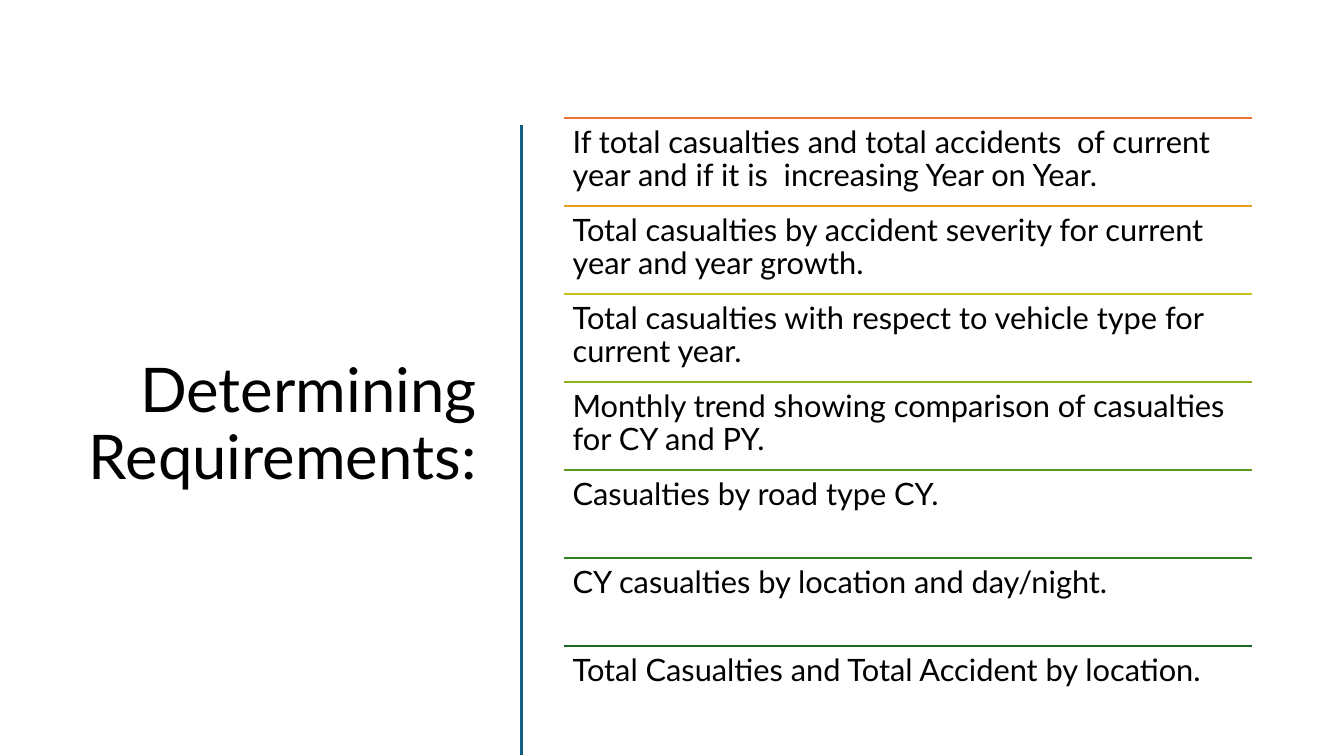
from lxml import etree
from pptx import Presentation, util as u
from pptx.dml.color import RGBColor
from pptx.enum import shapes, text
from pptx.oxml.ns import qn

THEME = {
    "font": "Lato", "ink": "000000", "divider": "156082",
    "title_size": 44, "item_size": 22, "divider_width": 2, "rule_width": 1.5,
}

REQUIREMENTS = [
    ("E97132", "If total casualties and total accidents  of current year and if it is  increasing Year on Year."),
    ("E39D1F", "Total casualties by accident severity for current year and year growth."),
    ("CBC11E", "Total casualties with respect to vehicle type for current year."),
    ("8EB21E", "Monthly trend showing comparison of casualties for CY and PY."),
    ("56991D", "Casualties by road type CY."),
    ("2C821B", "CY casualties by location and day/night."),
    ("196B24", "Total Casualties and Total Accident by location."),
]

prs = Presentation()
prs.slide_width, prs.slide_height = u.Inches(13.33), u.Inches(7.5)
slide = prs.slides.add_slide(prs.slide_layouts[6])


def add_text(words, left, top, width, height, *, size, inset=0.1,
             align=text.PP_ALIGN.LEFT, anchor=text.MSO_ANCHOR.TOP):
    box = slide.shapes.add_textbox(*map(u.Inches, (left, top, width, height)))
    frame = box.text_frame
    frame.word_wrap = True
    frame.vertical_anchor = anchor
    frame.margin_left = frame.margin_right = u.Inches(inset)
    frame.margin_top = frame.margin_bottom = u.Inches(inset)
    paragraph = frame.paragraphs[0]
    paragraph.alignment = align
    paragraph.line_spacing = 0.9
    run = paragraph.add_run()
    run.text = words
    run.font.name = THEME["font"]
    run.font.size = u.Pt(size)
    run.font.color.rgb = RGBColor.from_string(THEME["ink"])


def add_rule(x1, y1, x2, y2, *, color, width):
    rule = slide.shapes.add_connector(
        shapes.MSO_CONNECTOR.STRAIGHT, *map(u.Inches, (x1, y1, x2, y2)))
    rule.line.color.rgb = RGBColor.from_string(color)
    rule.line.width = u.Pt(width)
    etree.SubElement(rule._element.spPr, qn("a:effectLst"))


content_top, content_height = 1.17, 6.11
list_left, list_width = 5.59, 6.83
row_height = content_height / len(REQUIREMENTS)
divider_x = 5.17

add_text("Determining Requirements:", 0.52, content_top, 4.31, content_height,
         size=THEME["title_size"], align=text.PP_ALIGN.RIGHT,
         anchor=text.MSO_ANCHOR.MIDDLE)
add_rule(divider_x, 1.24, divider_x, 7.49,
         color=THEME["divider"], width=THEME["divider_width"])

for row, (color, requirement) in enumerate(REQUIREMENTS):
    row_top = content_top + row * row_height
    add_rule(list_left, row_top, list_left + list_width, row_top,
             color=color, width=THEME["rule_width"])
    add_text(requirement, list_left, row_top, list_width, row_height,
             size=THEME["item_size"], inset=0.09)

prs.save("out.pptx")
